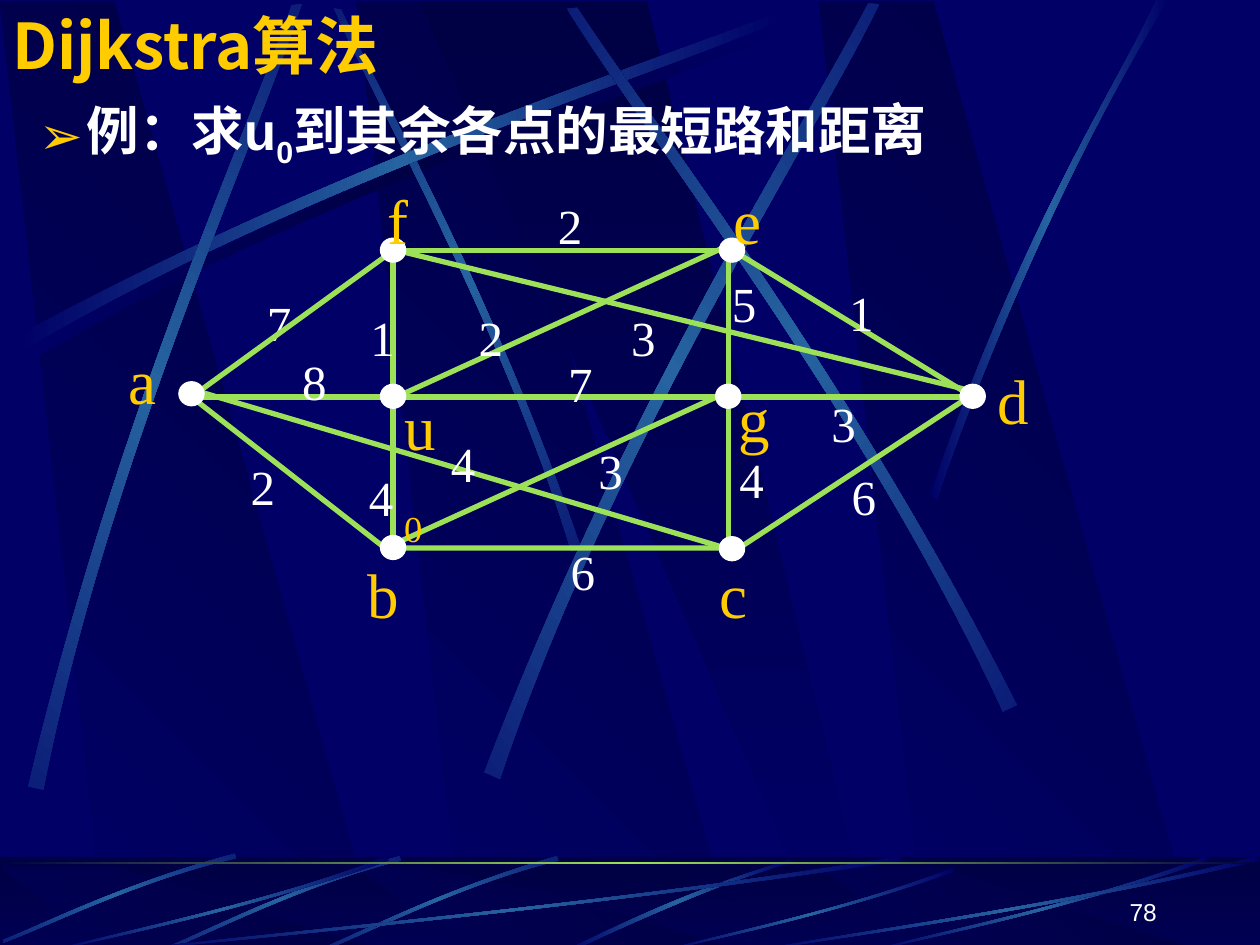
from lxml import etree
from pptx import Presentation
from pptx.dml.color import RGBColor
from pptx.enum.shapes import MSO_CONNECTOR, MSO_SHAPE
from pptx.enum.text import MSO_ANCHOR, PP_ALIGN
from pptx.oxml.ns import qn
from pptx.util import Inches, Pt

NAVY = RGBColor(0x00, 0x00, 0x66)
DARK = RGBColor(0x00, 0x00, 0x44)
BLUE = RGBColor(0x26, 0x63, 0xA0)
LIME = RGBColor(0x9C, 0xE1, 0x57)
GOLD = RGBColor(0xFF, 0xCC, 0x00)
WHITE = RGBColor(0xFF, 0xFF, 0xFF)
RECT, OVAL = MSO_SHAPE.RECTANGLE, MSO_SHAPE.OVAL
LINE = MSO_CONNECTOR.STRAIGHT
TOP, MID, LOW = MSO_ANCHOR.TOP, MSO_ANCHOR.MIDDLE, MSO_ANCHOR.BOTTOM
LEFT, RIGHT = PP_ALIGN.LEFT, PP_ALIGN.RIGHT
HAN, SANS, SERIF = "Noto Sans CJK SC", "Arial", "Times New Roman"

# Outlines as shares of their box; a streak is two Bezier curves.
BEAM = [(0.28, 1), (1, 1), (0.3, 0), (0, 0)]
SLANT = [(0, 0), (0.9, 1), (1, 1), (0.5, 0)]
ARC = [(0, 0.96), (0.43, 0.43), (0.83, 0.15), (0.99, 0),
       (1, 0.02), (0.83, 0.19), (0.38, 0.5), (0.01, 1)]
FAN = [(0, 0.99), (0.4, 0.44), (0.79, 0.17), (0.95, 0),
       (1, 0), (0.52, 0.37), (0.16, 0.81), (0.03, 1)]
SWEEP = [(1, 0.04), (0.57, 0.57), (0.17, 0.85), (0, 1),
         (0, 0.99), (0.17, 0.81), (0.62, 0.51), (0.99, 0)]
HOOK = [(1, 0), (0.5, 0.37), (0.16, 0.82), (0, 0.99),
        (0.03, 1), (0.23, 0.77), (0.68, 0.25), (1, 0.04)]

# outline, box, turn, mirrored, middle colour
UPPER = [
    (ARC, (0.2, 0.18, 6.08, 2.67), 0, False, DARK),
    (ARC, (1.41, 1.35, 4.42, 1.75), 45, True, BLUE),
    (ARC, (0.14, 0.1, 6.08, 2.67), 0, False, BLUE),
    (ARC, (-1.71, 1.82, 6.08, 2.67), 311.7, False, BLUE),
    (ARC, (2.31, 1.6, 6.24, 3.01), 321.6, False, BLUE),
    (ARC, (3.23, 1.52, 6.08, 2.67), 34.7, True, BLUE),
    (FAN, (7.38, 0, 1.89, 3.97), 0, False, BLUE),
]
LOWER = [(HOOK, (4.48, 6.82, 1.8, 0.73), 0, False, BLUE)] + [
    (ARC, box, 315, True, BLUE) for box in (
        (2.58, 6.76, 1.84, 0.83), (1.33, 6.76, 1.84, 0.83),
        (0.05, 6.71, 1.8, 0.85))
] + [
    (SWEEP, box, 0, False, BLUE) for box in (
        (1, 6.8, 6.17, 0.75), (0.42, 6.8, 2.67, 0.75),
        (5.27, 6.89, 2.31, 0.66), (6.92, 6.8, 2.67, 0.75),
        (6, 6.8, 4, 0.75))
]

# name: centre of the dot, corner of its letter
NODES = {
    "f": ((3.12, 1.99), (2.98, 1.39)), "e": ((5.81, 1.99), (5.72, 1.39)),
    "a": ((1.52, 3.13), (0.92, 2.66)), "u": ((3.12, 3.15), (3.11, 3.03)),
    "g": ((5.78, 3.15), (5.76, 2.96)), "d": ((7.72, 3.15), (7.82, 2.82)),
    "b": ((3.12, 4.35), (2.82, 4.36)), "c": ((5.81, 4.36), (5.61, 4.36)),
}
# ends, then the shift of each end from its node
EDGES = [
    ("bg", (-0.06, 0), (0.04, -0.06)), ("ue", (-0.06, 0.04), (0.01, -0.06)),
    ("ca", (-0.05, -0.01), (0, -0.04)), ("df", (-0.06, -0.06), (0.04, 0)),
    ("bf", (0, 0), (0, 0.04)), ("ce", (-0.03, -0.01), (-0.03, 0.04)),
    ("ab", (0, 0.02), (0, 0.05)), ("bc", (0, 0), (0.01, -0.01)),
    ("cd", (0.01, 0.02), (0, -0.02)), ("ad", (0, 0.02), (0, 0)),
    ("af", (0, 0.02), (0, 0)), ("fe", (0, 0), (0.01, 0)),
    ("ed", (0.01, 0), (0, 0)),
]
UNDER = [("7", 2.02, 2.27), ("6", 4.43, 4.25), ("2", 1.89, 3.57)]
OVER = [
    ("8", 2.3, 2.74), ("1", 2.84, 2.39), ("4", 2.83, 3.66), ("4", 3.48, 3.39),
    ("3", 4.65, 3.45), ("4", 5.77, 3.52), ("7", 4.41, 2.76), ("2", 3.7, 2.39),
    ("3", 4.91, 2.39), ("5", 5.71, 2.12), ("6", 6.66, 3.65), ("3", 6.5, 3.07),
    ("2", 4.33, 1.5), ("1", 6.64, 2.19),
]


def inch(vals):
    return [Inches(v) for v in vals]


def blend(shape, tints, turn=0):
    """Fill with evenly spaced colour stops, without an outline."""
    shape.shadow.inherit = False
    shape.line.fill.background()
    shape.fill.gradient()
    shape.fill.gradient_angle = turn
    stops = shape._element.spPr.find(qn("a:gradFill")).find(qn("a:gsLst"))
    for stop in list(stops):
        stops.remove(stop)
    for i, tint in enumerate(tints):
        pos = str(100000 * i // (len(tints) - 1))
        stop = etree.SubElement(stops, qn("a:gs"), pos=pos)
        etree.SubElement(stop, qn("a:srgbClr"), val=str(tint))


def poly(slide, pts, box):
    x, y, w, h = box
    spots = [tuple(inch((x + u * w, y + v * h))) for u, v in pts]
    form = slide.shapes.build_freeform(*spots[0])
    form.add_line_segments(spots[1:], close=True)
    return form.convert_to_shape()


def bend(shape):
    """Turn both long sides of an eight-point outline into Bezier curves."""
    legs = list(shape._element.spPr.iter(qn("a:lnTo")))
    for trio in (legs[:3], legs[4:7]):
        arc = etree.Element(qn("a:cubicBezTo"))
        trio[0].addprevious(arc)
        for leg in trio:
            arc.append(leg[0])
            leg.getparent().remove(leg)


def streak(slide, pts, box, turn, flip, tint):
    if flip:
        pts = [(1 - u, v) for u, v in pts]
    shape = poly(slide, pts, box)
    bend(shape)
    blend(shape, (NAVY, tint, NAVY))
    shape.rotation = turn


def beams(slide, top, high):
    for x in (2.83, 0, 6.5):
        blend(poly(slide, BEAM, (x, top, 3.02, high)), (NAVY, DARK), 45)
    blend(poly(slide, SLANT, (3.33, top, 3.61, high)), (DARK, NAVY), 270)


def bar(slide, top, high):
    return slide.shapes.add_shape(RECT, *inch((0, top, 10, high)))


def scene(slide):
    """Backdrop of beams and light streaks."""
    beams(slide, 0.01, 7.52)
    for item in UPPER:
        streak(slide, *item)
    blend(bar(slide, 6.8, 0.75), (DARK, NAVY), 270)
    beams(slide, 6.88, 0.66)
    veil = bar(slide, 6.8, 0.75)
    veil.shadow.inherit = False
    veil.line.fill.background()
    veil.fill.solid()
    veil.fill.fore_color.rgb = DARK
    tone = next(veil._element.spPr.iter(qn("a:srgbClr")))
    etree.SubElement(tone, qn("a:alpha"), val="50000")
    for item in LOWER:
        streak(slide, *item)
    blend(bar(slide, 6.84, 0.02), (DARK, LIME, DARK))


def text(slide, runs, box, size, tint=WHITE, font=SERIF, bold=False,
         wrap=True, anchor=TOP, align=LEFT, mark=None):
    """Add a text box; a run is (words, baseline in percent, own size)."""
    frame = slide.shapes.add_textbox(*inch(box)).text_frame
    frame.word_wrap, frame.vertical_anchor = wrap, anchor
    para = frame.paragraphs[0]
    para.alignment = align
    if mark:
        props = para._p.get_or_add_pPr()
        props.set("marL", str(Inches(0.38)))
        props.set("indent", str(Inches(-0.38)))
        hue = etree.SubElement(props, qn("a:buClr"))
        etree.SubElement(hue, qn("a:srgbClr"), val=str(GOLD))
        etree.SubElement(props, qn("a:buFont"), typeface=HAN)
        etree.SubElement(props, qn("a:buChar"), char=mark)
    for words, base, own in runs:
        run = para.add_run()
        run.text = words
        face = run.font
        face.name, face.size, face.bold = font, Pt(own or size), bold
        face.color.rgb = tint
        props = run._r.get_or_add_rPr()
        if base:
            props.set("baseline", str(base * 1000))
        if font != SERIF:
            etree.SubElement(props, qn("a:ea"), typeface=HAN)


def edge(slide, ends, *shifts):
    spots = [NODES[n][0][k] + s[k] for n, s in zip(ends, shifts) for k in (0, 1)]
    line = slide.shapes.add_connector(LINE, *inch(spots))
    line.line.color.rgb, line.line.width = LIME, Pt(3)
    etree.SubElement(line._element.spPr, qn("a:effectLst"))


def dot(slide, x, y):
    shape = slide.shapes.add_shape(
        OVAL, *inch((x - 0.1, y - 0.1, 0.2, 0.19)))
    shape.shadow.inherit = False
    shape.fill.solid()
    shape.fill.fore_color.rgb = shape.line.color.rgb = WHITE
    shape.line.width = Pt(0.75)


def tags(slide, items):
    for num, x, y in items:
        text(slide, [(num, 0, None)], (x, y, 0.38, 0.45), 28, wrap=False)


def graph(slide):
    tags(slide, UNDER)
    for item in EDGES:
        edge(slide, *item)
    for name, (spot, corner) in NODES.items():
        dot(slide, *spot)
        sub = name == "u"
        runs = [(name, 0, None)] + ([("0", -25, None)] if sub else [])
        text(slide, runs, (*corner, 0.55 if sub else 0.43, 0.56), 36,
             tint=GOLD, wrap=sub)
    tags(slide, OVER)


def main():
    deck = Presentation()
    deck.slide_width, deck.slide_height = inch((10, 7.5))
    slide = deck.slides.add_slide(deck.slide_layouts[6])
    slide.background.fill.solid()
    slide.background.fill.fore_color.rgb = NAVY
    scene(slide)
    text(slide, [("Dijkstra算法", 0, None)], (0, 0, 8.92, 0.71), 36,
         tint=GOLD, font=HAN, bold=True, anchor=MID)
    text(slide, [("例：求u", 0, None), ("0", -25, None),
                 ("到其余各点的最短路和距", 0, None), ("离", 0, 32)],
         (0.21, 0.7, 9.58, 0.62), 30, font=SANS, bold=True, mark="➢")
    graph(slide)
    text(slide, [("78", 0, None)], (7.2, 6.9, 2.08, 0.5), 14, font=SANS,
         anchor=LOW, align=RIGHT)
    deck.save("out.pptx")


if __name__ == "__main__":
    main()
